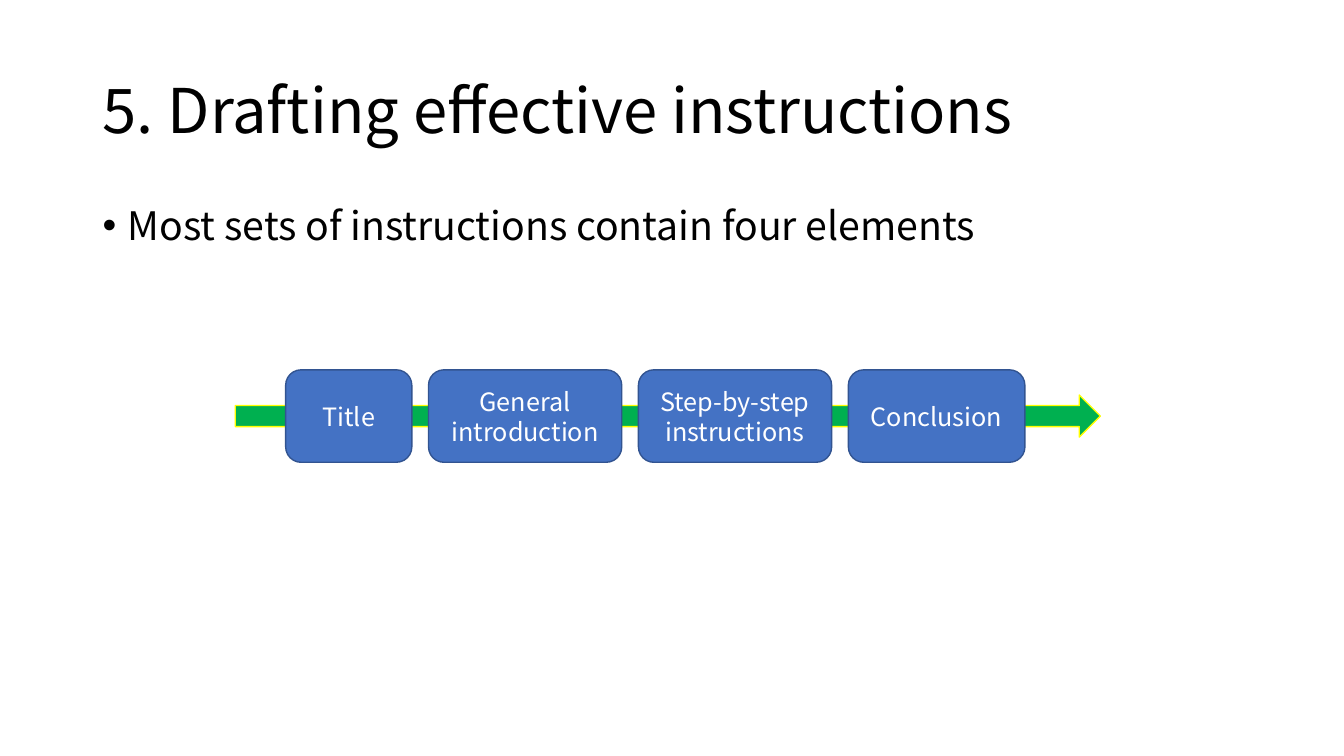
from lxml.etree import SubElement
from pptx import Presentation
from pptx.dml.color import RGBColor
from pptx.enum.shapes import MSO_SHAPE
from pptx.enum.text import MSO_ANCHOR, MSO_AUTO_SIZE, PP_ALIGN
from pptx.oxml.ns import qn
from pptx.util import Cm, Pt

FONT = "Noto Sans CJK SC"
ELEMENTS = [
    ("Title", 3.18),
    ("General introduction", 4.87),
    ("Step-by-step instructions", 4.87),
    ("Conclusion", 4.45),
]
ELEMENT_GAP = 0.42
ELEMENT_HEIGHT = 2.33
ARROW_HEIGHT = 1.06
ARROW_LEAD = 1.27


def color(hex_code):
    return RGBColor.from_string(hex_code)


def place(shape, left, top, width, height):
    shape.left, shape.top = Cm(left), Cm(top)
    shape.width, shape.height = Cm(width), Cm(height)


def write(shape, text, size, fill="000000", align=PP_ALIGN.LEFT,
          anchor=MSO_ANCHOR.MIDDLE, spacing=1.0, bullet=None, indent=0.64):
    frame = shape.text_frame
    frame.word_wrap = True
    frame.auto_size = MSO_AUTO_SIZE.NONE
    frame.vertical_anchor = anchor
    frame.text = text
    paragraph = frame.paragraphs[0]
    if bullet:
        properties = paragraph._p.get_or_add_pPr()
        properties.set("marL", str(Cm(indent)))
        properties.set("indent", str(-Cm(indent)))
        SubElement(properties, qn("a:buFont"), typeface="Arial")
        SubElement(properties, qn("a:buChar"), char=bullet)
    paragraph.alignment = align
    paragraph.line_spacing = spacing
    paragraph.space_before = Pt(0)
    font = paragraph.runs[0].font
    font.name, font.size = FONT, Pt(size)
    font.color.rgb = color(fill)


def add_block(slide, preset, left, top, width, height, fill, line):
    block = slide.shapes.add_shape(
        preset, Cm(left), Cm(top), Cm(width), Cm(height))
    block.shadow.inherit = False
    block.fill.solid()
    block.fill.fore_color.rgb = color(fill)
    block.line.color.rgb = color(line)
    block.line.width = Pt(1)
    return block


def add_heading(slide, left, top, width, height):
    heading = slide.shapes.title
    place(heading, left, top, width, height)
    write(heading, "5. Drafting effective instructions", 44, spacing=0.9)


def add_points(slide, left, top, width, height):
    points = slide.placeholders[1]
    place(points, left, top, width, height)
    write(points, "Most sets of instructions contain four elements", 28,
          anchor=MSO_ANCHOR.TOP, spacing=0.9, bullet="•")


def add_process(slide, left, top, width, height):
    """Lay the four elements in a row over an arrow centred in the box."""
    add_block(slide, MSO_SHAPE.RIGHT_ARROW, left,
              top + (height - ARROW_HEIGHT) / 2, width, ARROW_HEIGHT,
              "00B050", "FFFF00")
    element_left = left + ARROW_LEAD
    for name, element_width in ELEMENTS:
        element = add_block(slide, MSO_SHAPE.ROUNDED_RECTANGLE, element_left,
                            top, element_width, height, "4472C4", "325491")
        write(element, name, 18, fill="FFFFFF", align=PP_ALIGN.CENTER)
        element_left += element_width + ELEMENT_GAP


def main():
    deck = Presentation()
    deck.slide_width, deck.slide_height = Cm(33.87), Cm(19.05)
    slide = deck.slides.add_slide(deck.slide_layouts[1])
    slide.background.fill.solid()
    slide.background.fill.fore_color.rgb = color("FFFFFF")
    add_heading(slide, 2.33, 1.01, 29.21, 3.68)
    add_points(slide, 2.33, 5.07, 29.21, 12.09)
    add_process(slide, 5.93, 9.32, 21.8, ELEMENT_HEIGHT)
    deck.save("out.pptx")


if __name__ == "__main__":
    main()
